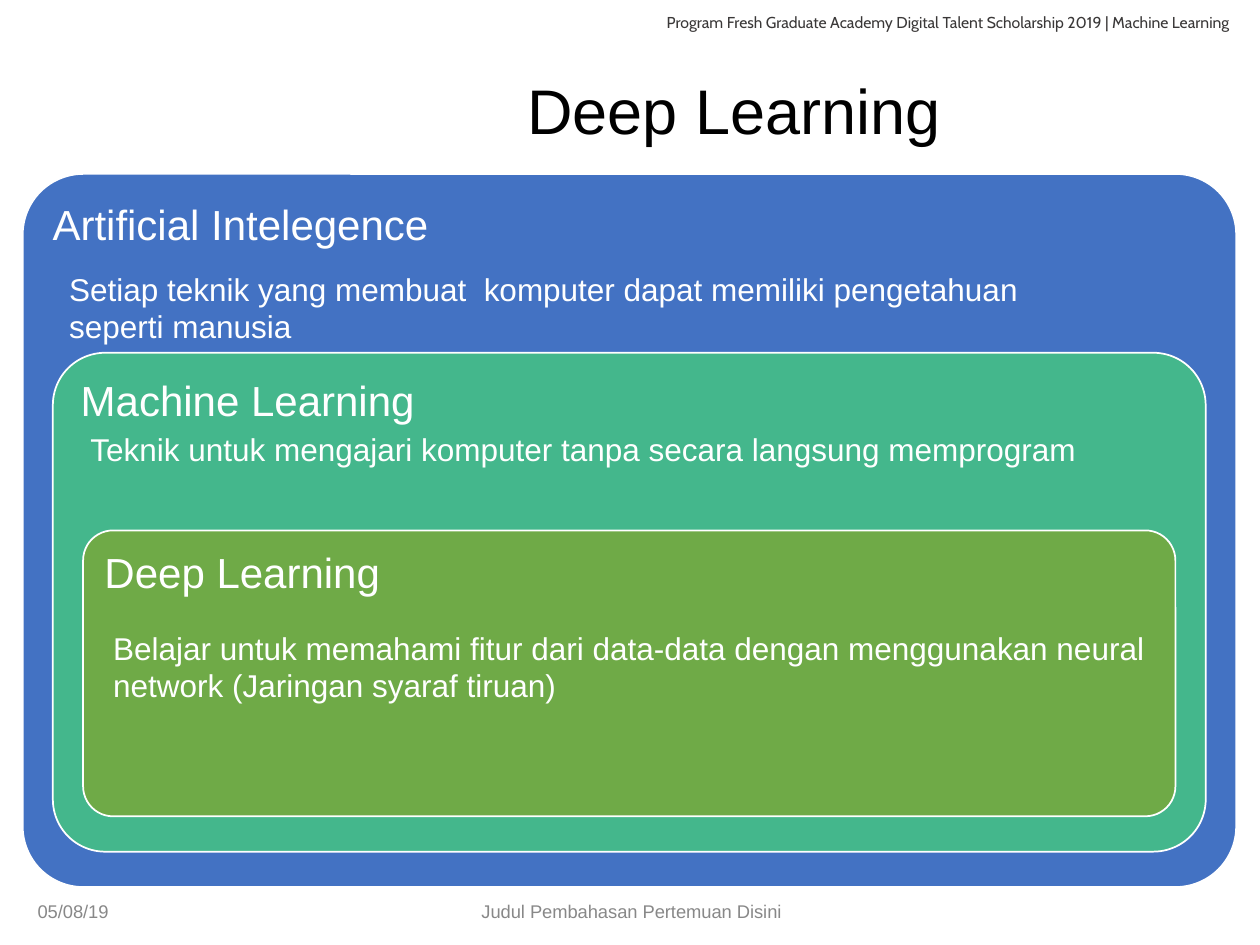
from pptx import Presentation
from pptx import util as u
from pptx.dml.color import RGBColor
from pptx.enum import shapes, text

WHITE = RGBColor(0xFF, 0xFF, 0xFF)
BLACK = RGBColor(0, 0, 0)
DARK = RGBColor(0x3A, 0x38, 0x38)
GREY = RGBColor(0x88, 0x88, 0x88)
BLUE = RGBColor(0x43, 0x72, 0xC3)
TEAL = RGBColor(0x44, 0xB7, 0x8C)
GREEN = RGBColor(0x6F, 0xAA, 0x47)

LEFT, MID, RIGHT = text.PP_ALIGN.LEFT, text.PP_ALIGN.CENTER, text.PP_ALIGN.RIGHT
TOP, CENTRE = text.MSO_ANCHOR.TOP, text.MSO_ANCHOR.MIDDLE

# Layers from outer to inner: fill, box, corner, heading, heading place,
# description, description place (left, top, width, height in points)
LAYERS = [
    (BLUE, (13, 99.4, 693.4, 407.5), 0.085,
     "Artificial Intelegence", (23, 109.4, 673, 48),
     "Setiap teknik yang membuat  komputer dapat memiliki pengetahuan "
     "seperti manusia", (32.4, 150.5, 609, 51)),
    (TEAL, (30.2, 201.6, 658.8, 285.1), 0.105,
     "Machine Learning", (39, 210.2, 641.5, 48),
     "Teknik untuk mengajari komputer tanpa secara langsung memprogram",
     (44.6, 242, 609, 29)),
    (GREEN, (47.5, 303.1, 624.2, 163.4), 0.105,
     "Deep Learning", (52.6, 308.2, 614, 48),
     "Belajar untuk memahami fitur dari data-data dengan menggunakan "
     "neural network (Jaringan syaraf tiruan)", (57.6, 355.7, 609, 51)),
]


class Deck:
    def __init__(self, font="Arial"):
        self.font = font
        self.prs = Presentation()
        self.prs.slide_width, self.prs.slide_height = u.Pt(720), u.Pt(540)
        self.slide = self.prs.slides.add_slide(self.prs.slide_layouts[5])

    def fill_in(self, shape, words, size, color, align=LEFT, anchor=TOP,
                font=None, inset=3.6, lines=1.0):
        """Put one styled paragraph into a shape."""
        frame = shape.text_frame
        frame.text = words
        frame.word_wrap = True
        frame.auto_size = text.MSO_AUTO_SIZE.NONE
        frame.vertical_anchor = anchor
        frame.margin_left = frame.margin_right = u.Pt(7.2)
        frame.margin_top = frame.margin_bottom = u.Pt(inset)
        para = frame.paragraphs[0]
        para.alignment, para.line_spacing = align, lines
        face = para.runs[0].font
        face.name, face.size = font or self.font, u.Pt(size)
        face.color.rgb = color

    def title(self, place, words):
        shape = self.slide.shapes.title
        shape.left, shape.top, shape.width, shape.height = map(u.Pt, place)
        self.fill_in(shape, words, 36, BLACK, MID, CENTRE, lines=0.9)

    def label(self, place, words, size, color, **style):
        shape = self.slide.shapes.add_textbox(*map(u.Pt, place))
        self.fill_in(shape, words, size, color, **style)

    def panel(self, place, fill, corner):
        shape = self.slide.shapes.add_shape(
            shapes.MSO_SHAPE.ROUNDED_RECTANGLE, *map(u.Pt, place))
        shape.adjustments[0] = corner
        shape.shadow.inherit = False
        shape.fill.solid()
        shape.fill.fore_color.rgb = fill
        shape.line.color.rgb = WHITE
        shape.line.width = u.Pt(1)


def main():
    deck = Deck()
    deck.label((308.2, 3.6, 401, 18),
               "Program Fresh Graduate Academy Digital Talent Scholarship 2019"
               " | Machine Learning", 9, DARK, align=RIGHT, font="Cabin")
    deck.title((130.3, 31.7, 578.2, 67), "Deep Learning")
    deck.label((14.4, 506.2, 115.2, 28.8), "05/08/19", 10.5, GREY,
               anchor=CENTRE)
    deck.label((185, 506, 352, 28.8), "Judul Pembahasan Pertemuan Disini",
               10.5, GREY, align=MID, anchor=CENTRE)
    for fill, box, corner, head, spot, body, place in LAYERS:
        deck.panel(box, fill, corner)
        deck.label(spot, head, 24, WHITE, inset=7.2, lines=0.9)
        deck.label(place, body, 18, WHITE)
    deck.prs.save("out.pptx")


if __name__ == "__main__":
    main()
